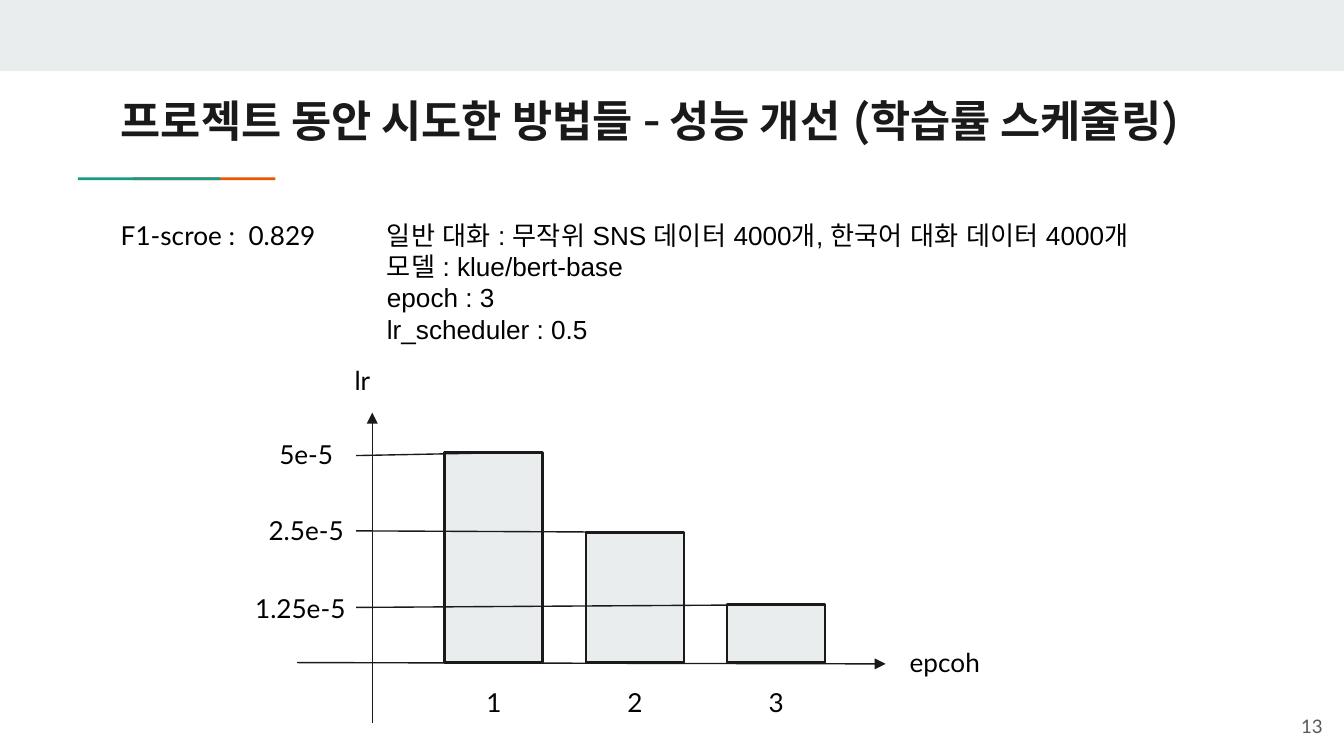
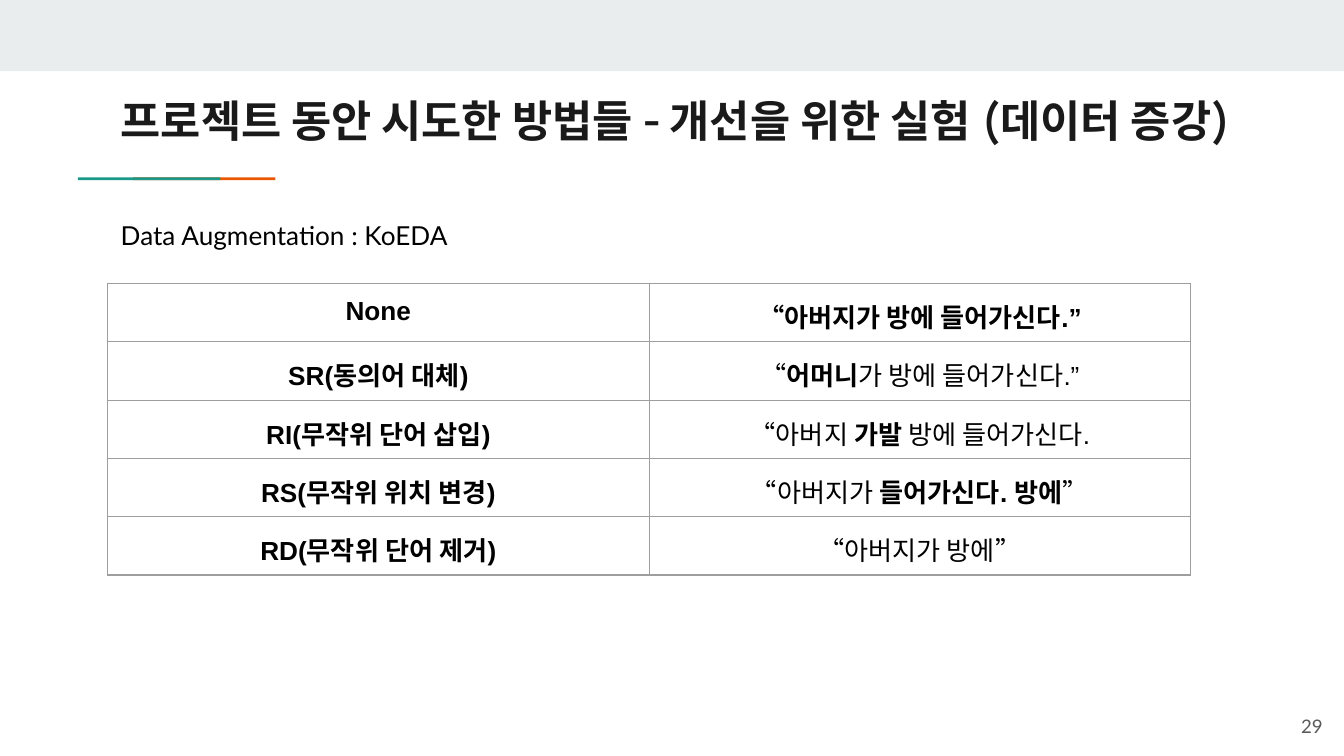
import pptx
import pptx.dml.color
import pptx.enum.shapes
import pptx.enum.text
import pptx.oxml
import pptx.oxml.ns
import pptx.util
from pptx.util import Inches

PALE, INK, GREEN, ORANGE = "E9EDEE", "1A1A1A", "1A9988", "EB5600"
BLACK, GREY, BORDER = "000000", "595959", "9E9E9E"
NS = pptx.oxml.ns.nsdecls("a")
ALIGN = pptx.enum.text.PP_ALIGN
ANCHOR = pptx.enum.text.MSO_ANCHOR
AUTO = pptx.enum.text.MSO_AUTO_SIZE

TITLE = {"name": "Manrope", "size": pptx.util.Pt(23.4), "bold": True}
BODY = {"name": "Arial", "size": pptx.util.Pt(14)}
LABEL = {"name": "Lato", "size": pptx.util.Pt(14)}
NUMBER = {"name": "Lato", "size": pptx.util.Pt(10)}


def rgb(value):
    return pptx.dml.color.RGBColor.from_string(value)


def set_all(target, values):
    for name, value in values.items():
        setattr(target, name, value)


class Deck:
    """Holds the shared style and the slide being filled."""

    def __init__(self):
        self.prs = pptx.Presentation()
        set_all(self.prs, {"slide_width": Inches(10), "slide_height": Inches(5.625)})

    def new_slide(self, title, number):
        self.s = self.prs.slides.add_slide(self.prs.slide_layouts[6])
        self.rect(0, 0, 10, 0.53, PALE)
        for x, color in ((0.99, ORANGE), (0.58, GREEN)):
            self.rect(x, 1.32, 1.06, 0.02, color)
        self.text(0.8, 0.6, 9.2, 0.59, title, TITLE, INK, auto_size=AUTO.NONE)
        self.text(9.34, 5.19, 0.6, 0.43, number, NUMBER, GREY, ALIGN.RIGHT,
                  auto_size=AUTO.NONE, vertical_anchor=ANCHOR.MIDDLE)

    def rect(self, x, y, w, h, fill, line=None):
        sp = self.s.shapes.add_shape(pptx.enum.shapes.MSO_SHAPE.RECTANGLE,
                                     Inches(x), Inches(y), Inches(w), Inches(h))
        sp.shadow.inherit = False
        sp.fill.solid()
        sp.fill.fore_color.rgb = rgb(fill)
        if line:
            sp.line.color.rgb = rgb(line)
            sp.line.width = pptx.util.Pt(1.5)
        else:
            sp.line.fill.background()
        return sp

    def run(self, p, text, style, color, all_scripts=False):
        """With all_scripts the font is named for Korean text as well."""
        r = p.add_run()
        r.text = text
        set_all(r.font, style)
        r.font.color.rgb = rgb(color)
        for tag in ("ea", "cs") if all_scripts else ():
            r.font._element.append(pptx.oxml.parse_xml(
                f'<a:{tag} {NS} typeface="{style["name"]}"/>'))

    def text(self, x, y, w, h, text, style, color=BLACK, align=ALIGN.LEFT, **frame):
        sp = self.s.shapes.add_textbox(Inches(x), Inches(y), Inches(w), Inches(h))
        tf = sp.text_frame
        margins = dict.fromkeys(
            ("margin_left", "margin_top", "margin_right", "margin_bottom"), Inches(0.1))
        set_all(tf, {"word_wrap": True, "auto_size": AUTO.SHAPE_TO_FIT_TEXT,
                     **margins, **frame})
        for i, line in enumerate(text.split("\n")):
            p = tf.add_paragraph() if i else tf.paragraphs[0]
            p.alignment = align
            self.run(p, line, style, color, all_scripts=style is not TITLE)

    def line(self, x1, y1, x2, y2, arrow=False):
        c = self.s.shapes.add_connector(pptx.enum.shapes.MSO_CONNECTOR.STRAIGHT,
                                        Inches(x1), Inches(y1), Inches(x2), Inches(y2))
        c.line.color.rgb = rgb(INK)
        c.line.width = pptx.util.Pt(0.75)
        if arrow:
            c.line._get_or_add_ln().append(
                pptx.oxml.parse_xml(f'<a:tailEnd {NS} type="triangle"/>'))
        c._element.spPr.append(pptx.oxml.parse_xml(f"<a:effectLst {NS}/>"))
        return c

    def table(self, x, y, col_w, row_h, rows):
        """Each cell is a list of (text, bold) runs."""
        cols = len(rows[0])
        table = self.s.shapes.add_table(len(rows), cols, Inches(x), Inches(y),
                                        Inches(col_w * cols),
                                        Inches(row_h * len(rows))).table
        set_all(table, {"first_row": False, "horz_banding": False})
        for row, contents in zip(table.rows, rows):
            row.height = Inches(row_h)
            for cell, runs in zip(row.cells, contents):
                self.cell(cell, runs)

    def cell(self, cell, runs):
        set_all(cell, dict.fromkeys(
            ("margin_left", "margin_top", "margin_right", "margin_bottom"), Inches(0.1)))
        cell.fill.background()
        tcPr = cell._tc.get_or_add_tcPr()
        for i, side in enumerate("LRTB"):
            tcPr.insert(i, pptx.oxml.parse_xml(
                f'<a:ln{side} {NS} w="9525"><a:solidFill><a:srgbClr val="{BORDER}"/>'
                f"</a:solidFill></a:ln{side}>"))
        p = cell.text_frame.paragraphs[0]
        p.alignment = ALIGN.CENTER
        for text, bold in runs:
            self.run(p, text, {**BODY, "bold": bold}, BLACK)


def build_scheduling(deck):
    deck.new_slide("프로젝트 동안 시도한 방법들 - 성능 개선 (학습률 스케줄링)", "13")
    deck.text(2.78, 1.53, 6.12, 1.38,
              "일반 대화 : 무작위 SNS 데이터 4000개, 한국어 대화 데이터 4000개\n"
              "모델 : klue/bert-base\nepoch : 3\nlr_scheduler : 0.5", BODY)
    deck.text(0.8, 1.53, 1.98, 0.67, "F1-scroe :  0.829", LABEL)

    base = 4.93
    deck.line(2.21, base, 6.59, 4.94, arrow=True)
    deck.line(2.77, 5.38, 2.77, 3.07, arrow=True)
    deck.text(6.67, 4.71, 0.79, 0.44, "epcoh", LABEL)
    deck.text(2.54, 2.61, 0.46, 0.44, "lr", LABEL)

    # bar top, tick height, rate, label left, label top, label width
    epochs = [(3.37, 3.39, "5e-5", 1.98, 3.16, 0.73),
              (3.96, 3.95, "2.5e-5", 1.9, 3.73, 0.94),
              (4.5, 4.52, "1.25e-5", 1.8, 4.31, 0.94)]
    bars = []
    for i, (top, tick, rate, label_x, label_y, label_w) in enumerate(epochs):
        x = 3.31 + 1.05 * i
        bars.append(deck.rect(x, top, 0.73, base - top, PALE, INK))
        deck.text(x + 0.21, 5.01, 0.3, 0.44, str(i + 1), LABEL)
        deck.text(label_x, label_y, label_w, 0.44, rate, LABEL)
    for bar, (top, tick, *_) in zip(bars, epochs):
        deck.line(3.67, top, 2.65, tick).begin_connect(bar, 0)


def build_augmentation(deck):
    deck.new_slide("프로젝트 동안 시도한 방법들 - 개선을 위한 실험 (데이터 증강)", "29")
    deck.text(0.8, 1.53, 4.2, 0.44, "Data Augmentation : KoEDA", LABEL)
    examples = [
        ("None", [("“아버지가 방에 들어가신다.”", True)]),
        ("SR(동의어 대체)",
         [("“", False), ("어머니", True), ("가 방에 들어가신다.”", False)]),
        ("RI(무작위 단어 삽입)",
         [("“아버지 ", False), ("가발", True), (" 방에 들어가신다.", False)]),
        ("RS(무작위 위치 변경)",
         [("“아버지가 ", False), ("들어가신다. 방에", True), ("”", False)]),
        ("RD(무작위 단어 제거)", [("“아버지가 방에”", False)]),
    ]
    deck.table(0.8, 2.11, 4.03, 0.43,
               [([(method, True)], sentence) for method, sentence in examples])


def main():
    deck = Deck()
    build_scheduling(deck)
    build_augmentation(deck)
    deck.prs.save("out.pptx")


if __name__ == "__main__":
    main()
